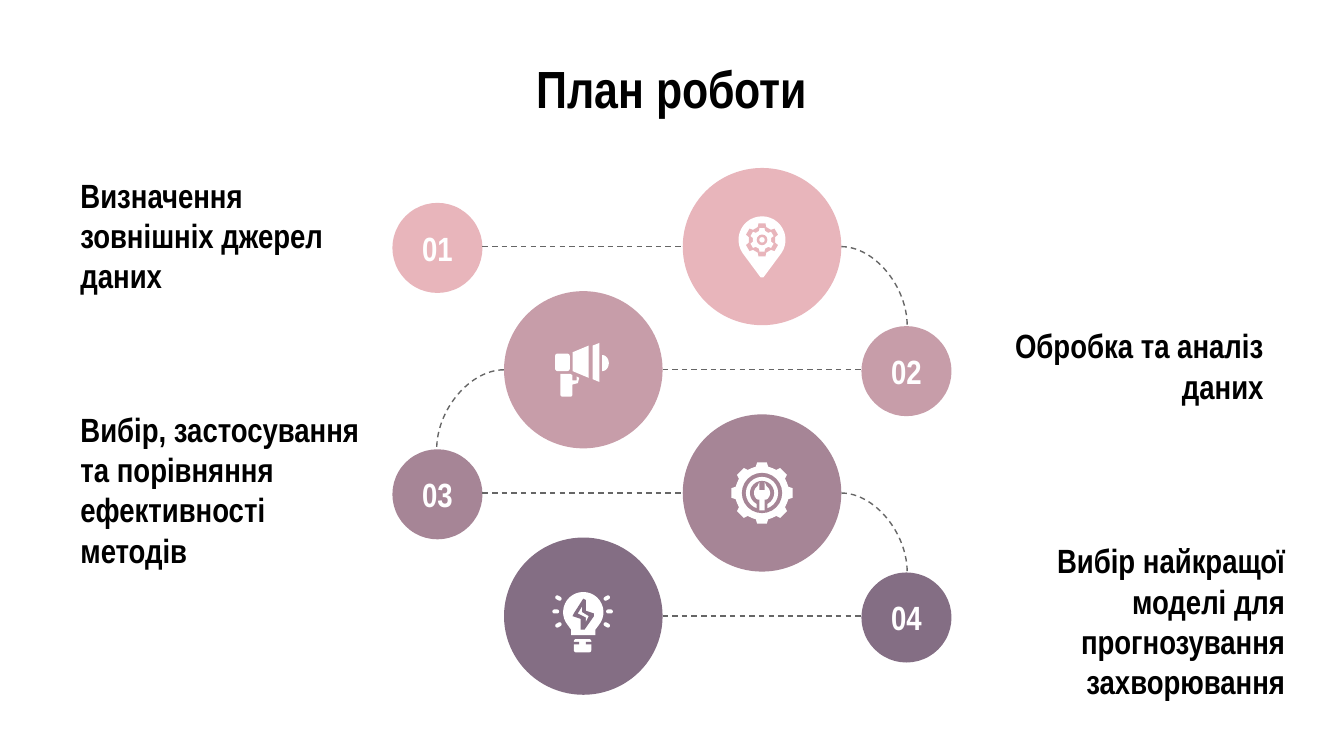
from math import cos, radians, sin

from lxml.etree import SubElement
from pptx import Presentation
from pptx.dml.color import RGBColor
from pptx.enum.dml import MSO_LINE
from pptx.enum.shapes import MSO_CONNECTOR as Connector, MSO_SHAPE as Shape
from pptx.enum.text import MSO_ANCHOR as Anchor, PP_ALIGN as Align
from pptx.oxml.ns import qn
from pptx.util import Inches, Pt

FONT = "Arial Narrow"
BLACK = RGBColor(0x00, 0x00, 0x00)
WHITE = RGBColor(0xFF, 0xFF, 0xFF)
GREY = RGBColor(0x66, 0x66, 0x66)
PINK = RGBColor(0xE8, 0xB5, 0xBB)
ROSE = RGBColor(0xC7, 0x9D, 0xA9)
MAUVE = RGBColor(0xA6, 0x85, 0x96)
PLUM = RGBColor(0x84, 0x6E, 0x84)

FIRST_ROW, LAST_ROW = 1.25, 4
ICON_WIDTH, ICON_HEIGHT = 1.18, 1.17
BADGE_SIZE = 0.67


def paint(shape, colour):
    shape.shadow.inherit = False
    shape.fill.solid()
    shape.fill.fore_color.rgb = colour
    shape.line.fill.background()
    return shape


def add_block(slide, kind, left, top, width, height, colour):
    shape = slide.shapes.add_shape(
        kind, Inches(left), Inches(top), Inches(width), Inches(height))
    return paint(shape, colour)


def add_disc(slide, x, y, radius, colour):
    return add_block(slide, Shape.OVAL, x - radius, y - radius,
                     2 * radius, 2 * radius, colour)


def add_polygon(slide, x, y, points, colour):
    corners = [(Inches(x + dx), Inches(y + dy)) for dx, dy in points]
    builder = slide.shapes.build_freeform(*corners[0])
    builder.add_line_segments(corners[1:], close=True)
    return paint(builder.convert_to_shape(), colour)


def arc(radius_x, radius_y, start, end, steps=24):
    angles = [radians(start + (end - start) * i / steps) for i in range(steps + 1)]
    return [(radius_x * cos(angle), radius_y * sin(angle)) for angle in angles]


def add_gear(slide, x, y, outer, inner, teeth, colour):
    pitch = 360 / teeth
    points = []
    for tooth in range(teeth):
        middle = tooth * pitch - 90
        for radius, offset in ((inner, -0.3), (outer, -0.2), (outer, 0.2), (inner, 0.3)):
            angle = radians(middle + offset * pitch)
            points.append((radius * cos(angle), radius * sin(angle)))
    add_polygon(slide, x, y, points, colour)


def write(shape, text, size, colour, align):
    frame = shape.text_frame
    frame.word_wrap = True
    frame.vertical_anchor = Anchor.MIDDLE
    frame.margin_left = frame.margin_right = Inches(0.1)
    frame.margin_top = frame.margin_bottom = Inches(0.1)
    paragraph = frame.paragraphs[0]
    paragraph.text = text
    paragraph.alignment = align
    font = paragraph.font
    font.name, font.size, font.bold = FONT, Pt(size), True
    font.color.rgb = colour


def add_label(slide, left, top, width, height, text, size, align):
    box = slide.shapes.add_textbox(
        Inches(left), Inches(top), Inches(width), Inches(height))
    write(box, text, size, BLACK, align)


def draw_pin(slide, x, y, colour):
    head = y - 0.05
    add_polygon(slide, x, head, arc(0.175, 0.175, 145, 395) + [(0.01, 0.28), (-0.01, 0.28)], WHITE)
    add_gear(slide, x, head, 0.125, 0.1, 6, colour)
    add_gear(slide, x, head, 0.09, 0.07, 6, WHITE)
    add_disc(slide, x, head, 0.04, colour)
    add_disc(slide, x, head, 0.02, WHITE)


def draw_megaphone(slide, x, y, colour):
    add_block(slide, Shape.ROUNDED_RECTANGLE, x - 0.21, y - 0.12, 0.11, 0.13, WHITE)
    cone = [(-0.08, -0.13), (0.04, -0.18), (0.04, 0.06), (-0.08, 0.01)]
    plate = [(0.07, -0.18), (0.12, -0.2), (0.12, 0.09), (0.07, 0.07)]
    handle = [(-0.17, 0.03), (-0.1, 0.03), (-0.08, 0.04), (-0.08, 0.08), (-0.05, 0.08),
              (-0.05, 0.05), (-0.03, 0.06), (-0.04, 0.1), (-0.08, 0.11), (-0.08, 0.19),
              (-0.09, 0.2), (-0.16, 0.2), (-0.17, 0.19)]
    for points in (cone, plate, handle):
        add_polygon(slide, x, y, points, WHITE)
    add_polygon(slide, x + 0.14, y - 0.05, arc(0.05, 0.06, -90, 90), WHITE)


def draw_wrench_gear(slide, x, y, colour):
    add_gear(slide, x, y, 0.23, 0.2, 8, WHITE)
    for radius, fill in ((0.2, WHITE), (0.15, colour), (0.12, WHITE), (0.09, colour)):
        add_disc(slide, x, y, radius, fill)
    jaws = arc(0.06, 0.06, -55, 235) + [(-0.02, -0.08), (-0.02, -0.02),
                                        (0.02, -0.02), (0.02, -0.08)]
    add_polygon(slide, x, y, jaws, WHITE)
    add_block(slide, Shape.RECTANGLE, x - 0.04, y + 0.05, 0.08, 0.09, colour)
    add_block(slide, Shape.RECTANGLE, x - 0.02, y + 0.04, 0.04, 0.09, WHITE)


def draw_bulb(slide, x, y, colour):
    glass = arc(0.15, 0.15, 140, 400) + [(0.09, 0.13), (0.09, 0.17), (-0.09, 0.17), (-0.09, 0.13)]
    add_polygon(slide, x, y - 0.03, glass, WHITE)
    bolt = [(0, -0.13), (0.02, -0.12), (0.02, -0.04), (0.08, -0.02), (0.08, 0),
            (0.01, 0.1), (-0.02, 0.1), (-0.02, 0.02), (-0.08, 0), (-0.07, -0.02)]
    core = [(-0.01, -0.07), (-0.04, -0.02), (0.02, 0.01), (0.02, 0.04), (0.04, 0), (-0.01, -0.03)]
    add_polygon(slide, x, y, bolt, colour)
    add_polygon(slide, x, y, core, WHITE)
    add_block(slide, Shape.ROUNDED_RECTANGLE, x - 0.07, y + 0.17, 0.13, 0.1, WHITE)
    for side in (-1, 1):
        add_block(slide, Shape.RECTANGLE, x + side * 0.05 - 0.03, y + 0.19, 0.05, 0.02, colour)
        for distance, rise, turn in ((0.2, -0.04, 0), (0.18, -0.14, -30), (0.18, 0.06, 30)):
            ray = add_block(slide, Shape.ROUNDED_RECTANGLE, x + side * distance - 0.03,
                            y + rise - 0.01, 0.05, 0.03, WHITE)
            ray.adjustments[0] = 0.5
            ray.rotation = side * turn


def add_dashed(slide, kind, start, end):
    connector = slide.shapes.add_connector(kind, *(Inches(v) for v in (*start, *end)))
    connector.line.color.rgb = GREY
    connector.line.width = Pt(0.75)
    connector.line.dash_style = MSO_LINE.DASH
    properties = connector._element.spPr
    SubElement(properties, qn("a:effectLst"))
    if kind == Connector.CURVE:
        properties.find(qn("a:prstGeom")).set("prst", "curvedConnector2")


def add_step(slide, top, number, step):
    text, colour, label_left, label_top, draw_icon = step
    badge_on_left = number % 2 == 1
    icon_left, badge_left = (5.08, 2.92) if badge_on_left else (3.75, 6.41)
    middle = top + ICON_HEIGHT / 2
    add_block(slide, Shape.OVAL, icon_left, top, ICON_WIDTH, ICON_HEIGHT, colour)
    badge = add_block(slide, Shape.OVAL, badge_left, middle - BADGE_SIZE / 2 + 0.01,
                      BADGE_SIZE, BADGE_SIZE, colour)
    write(badge, f"{number:02}", 18, WHITE, Align.CENTER)
    add_label(slide, label_left, label_top, 2.42, 0.3, text, 18,
              Align.LEFT if badge_on_left else Align.RIGHT)
    draw_icon(slide, icon_left + ICON_WIDTH / 2, middle, colour)

    if badge_on_left:
        line_start, line_end = badge_left + BADGE_SIZE, icon_left
        curve_start, next_badge = icon_left + ICON_WIDTH, 6.75
    else:
        line_start, line_end = icon_left + ICON_WIDTH, badge_left
        curve_start, next_badge = icon_left, 3.25
    add_dashed(slide, Connector.STRAIGHT, (line_start, middle), (line_end, middle))
    if number < 4:
        add_dashed(slide, Connector.CURVE, (curve_start, middle), (next_badge, middle + 0.59))


def main():
    presentation = Presentation()
    presentation.slide_width = Inches(10)
    presentation.slide_height = presentation.slide_width * 9 // 16
    slide = presentation.slides.add_slide(presentation.slide_layouts[6])
    add_label(slide, 0.5, 0.45, 9, 0.41, "План роботи", 28, Align.CENTER)
    steps = [
        ("Визначення зовнішніх джерел даних", PINK, 0.5, 1.6, draw_pin),
        ("Обробка та аналіз даних", ROSE, 7.08, 2.57, draw_megaphone),
        ("Вибір, застосування та порівняння ефективності методів",
         MAUVE, 0.5, 3.49, draw_wrench_gear),
        ("Вибір найкращої моделі для прогнозування захворювання",
         PLUM, 7.24, 4.47, draw_bulb),
    ]
    row_step = (LAST_ROW - FIRST_ROW) / (len(steps) - 1)
    for index, step in enumerate(steps):
        add_step(slide, FIRST_ROW + index * row_step, index + 1, step)
    presentation.save("out.pptx")


if __name__ == "__main__":
    main()
